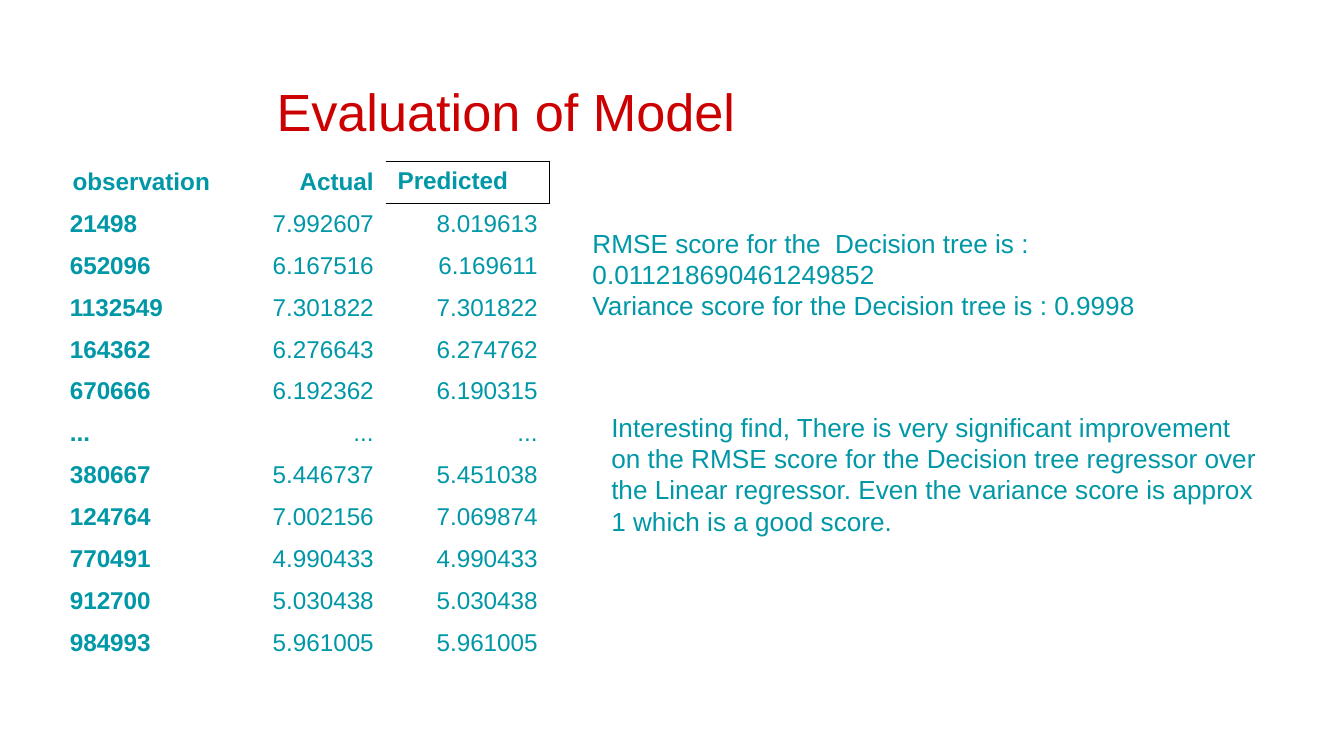
from dataclasses import dataclass

from lxml import etree
from pptx import Presentation
from pptx import util as u
from pptx.dml.color import RGBColor
from pptx.enum import text
from pptx.oxml import ns

W = 10
H = W * 9 / 16
NO_STYLE = "{2D5ABB26-0587-4C30-8999-92F81FD0307C}"


@dataclass(frozen=True)
class Theme:
    font: str = "Arial"
    title: str = "CC0000"
    body: str = "0097A7"
    paper: str = "FFFFFF"
    rule: str = "000000"
    title_pt: float = 28
    note_pt: float = 14
    cell_pt: float = 13


T = Theme()

HEADER = ("observation", "Actual", "Predicted")
ROWS = [
    ("21498", "7.992607", "8.019613"),
    ("652096", "6.167516", "6.169611"),
    ("1132549", "7.301822", "7.301822"),
    ("164362", "6.276643", "6.274762"),
    ("670666", "6.192362", "6.190315"),
    ("...", "...", "..."),
    ("380667", "5.446737", "5.451038"),
    ("124764", "7.002156", "7.069874"),
    ("770491", "4.990433", "4.990433"),
    ("912700", "5.030438", "5.030438"),
    ("984993", "5.961005", "5.961005"),
]
SCORES = [
    "RMSE score for the  Decision tree is : 0.011218690461249852",
    "Variance score for the Decision tree is : 0.9998",
]
FINDING = [
    "Interesting find, There is very significant improvement on the RMSE score "
    "for the Decision tree regressor over the Linear regressor. Even the variance "
    "score is approx 1 which is a good score."
]


def inches(box):
    return [u.Inches(v) for v in box]


def add_run(p, words, size, color, bold=False):
    r = p.add_run()
    r.text = words
    r.font.name, r.font.size, r.font.bold = T.font, u.Pt(size), bold
    r.font.color.rgb = RGBColor.from_string(color)


def add_text(s, box, lines, size, color):
    tf = s.shapes.add_textbox(*inches(box)).text_frame
    tf.word_wrap = True
    for i, line in enumerate(lines):
        p = tf.paragraphs[0] if i == 0 else tf.add_paragraph()
        add_run(p, line, size, color)
    return tf


def add_title(s, box):
    tf = add_text(s, box, ["Evaluation of Model"], T.title_pt, T.title)
    tf.margin_top = u.Inches(0.1)
    tf.margin_left = u.Inches(0.18 * box[2] + 0.04)  # title starts in from the box edge


def add_borders(cell, sides):
    tcPr = cell._tc.get_or_add_tcPr()
    for i, side in enumerate(sides):
        ln = etree.Element(ns.qn(f"a:ln{side}"), w=str(u.Pt(0.75)))
        fill = etree.SubElement(ln, ns.qn("a:solidFill"))
        etree.SubElement(fill, ns.qn("a:srgbClr"), val=T.rule)
        tcPr.insert(i, ln)  # borders come before the fill


def add_results(s, box):
    rows = [HEADER] + ROWS
    tbl = s.shapes.add_table(len(rows), len(HEADER), *inches(box)).table
    tbl.first_row = tbl.horz_banding = False
    tbl._tbl.tblPr.find(ns.qn("a:tableStyleId")).text = NO_STYLE
    for col in tbl.columns:
        col.width = u.Inches(box[2] / len(HEADER))
    for row in tbl.rows:
        row.height = u.Inches(box[3] / len(rows))

    for i, values in enumerate(rows):
        for j, value in enumerate(values):
            cell = tbl.cell(i, j)
            boxed = (i, j) == (0, 2)
            cell.margin_left = cell.margin_right = u.Inches(0.09)
            cell.margin_top = cell.margin_bottom = u.Pt(3.3)
            cell.vertical_anchor = text.MSO_ANCHOR.TOP if boxed else text.MSO_ANCHOR.MIDDLE
            if boxed:
                add_borders(cell, "RTB")
            else:
                cell.fill.solid()
                cell.fill.fore_color.rgb = RGBColor.from_string(T.paper)
            p = cell.text_frame.paragraphs[0]
            left = boxed or (i > 0 and j == 0)
            p.alignment = text.PP_ALIGN.LEFT if left else text.PP_ALIGN.RIGHT
            add_run(p, value, T.cell_pt, T.body, bold=i == 0 or j == 0)


def add_note(s, box, lines):
    add_text(s, box, lines, T.note_pt, T.body)


def main():
    prs = Presentation()
    prs.slide_width, prs.slide_height = inches((W, H))
    s = prs.slides.add_slide(prs.slide_layouts[6])

    # Title
    add_title(s, (0.034 * W, 0.49, 0.932 * W, 0.63))
    # Actual and predicted values
    add_results(s, (0.043 * W, 1.2, 0.366 * W, 3.74))
    # Scores and conclusion
    add_note(s, (0.431 * W, 1.64, 0.528 * W, 0.81), SCORES)
    add_note(s, (0.445 * W, 3.01, 0.5 * W, 1.04), FINDING)

    prs.save("out.pptx")


if __name__ == "__main__":
    main()
